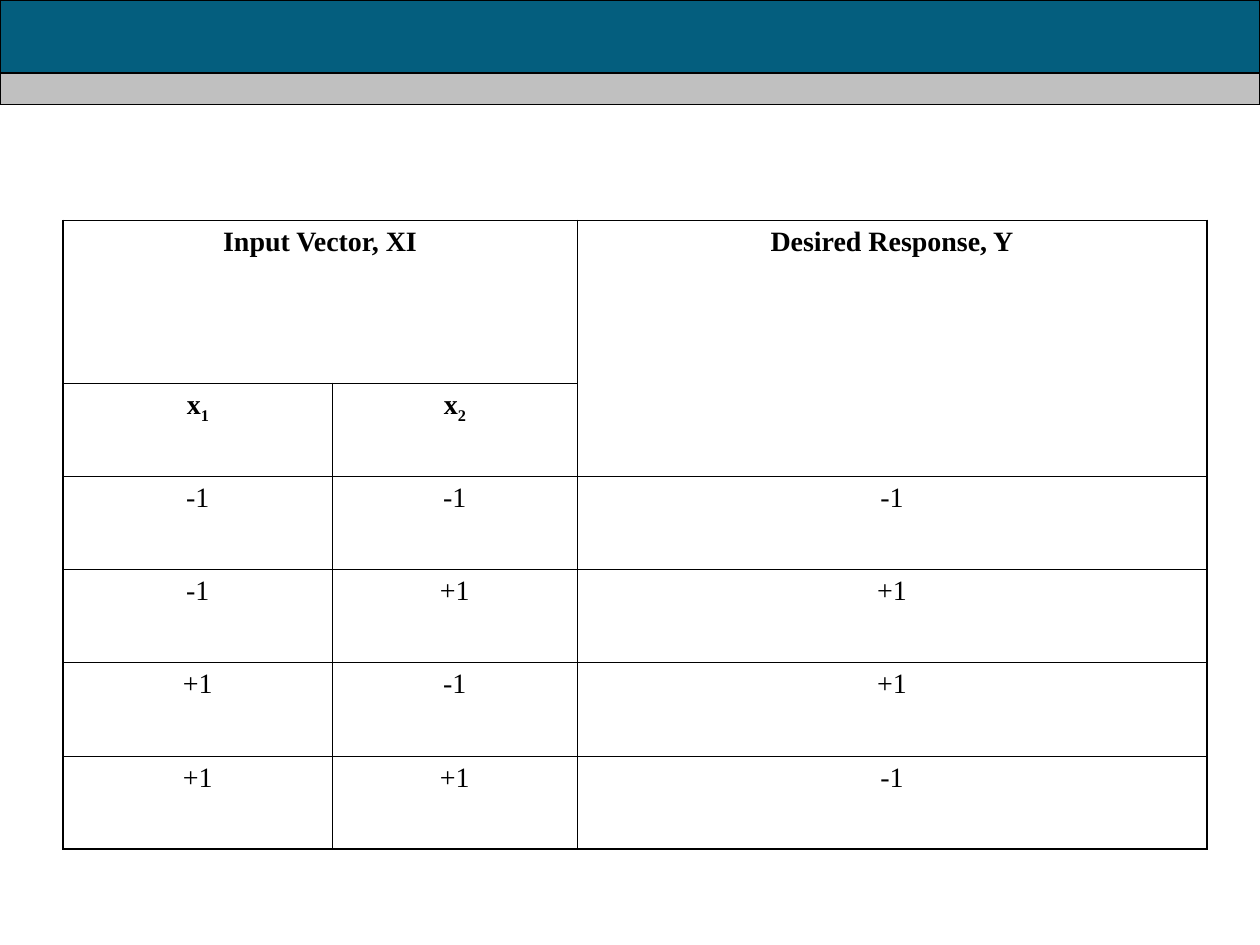
from lxml import etree
from pptx import Presentation
from pptx.dml.color import RGBColor
from pptx.enum.shapes import MSO_SHAPE
from pptx.enum.text import PP_ALIGN
from pptx.oxml.ns import qn
from pptx.util import Inches, Pt

RECTANGLE = MSO_SHAPE.RECTANGLE
CENTER = PP_ALIGN.CENTER
COLORS = {"banner": "045E7E", "strip": "C0C0C0", "ink": "000000"}
FONT = "Times New Roman"
OUTER_LINE, INNER_LINE = Pt(1.08), Pt(0.45)

# Bands across the top: colour, top and height in inches
BANDS = [("banner", 0, 0.83), ("strip", 0.58, 0.25)]

TABLE_LEFT, TABLE_TOP = 0.5, 1.75
COLUMN_WIDTHS = [2.14, 1.94, 5]
ROW_HEIGHTS = [1.29] + [0.74] * 5
HEADER_ROWS = 2
# Each cell holds its text and, where there is one, a subscript
ROWS = [
    [("Input Vector, XI",), (), ("Desired Response, Y",)],
    [("x", "1"), ("x", "2"), ()],
    [("-1",), ("-1",), ("-1",)],
    [("-1",), ("+1",), ("+1",)],
    [("+1",), ("-1",), ("+1",)],
    [("+1",), ("+1",), ("-1",)],
]


def set_border(cell, side, width):
    """Draw one side (L, R, T or B) of a table cell."""
    line = etree.SubElement(cell._tc.get_or_add_tcPr(), qn(f"a:ln{side}"), w=str(width))
    fill = etree.SubElement(line, qn("a:solidFill"))
    etree.SubElement(fill, qn("a:srgbClr"), val=COLORS["ink"])


presentation = Presentation()
presentation.slide_width = Inches(10)
presentation.slide_height = Inches(7.5)
slide = presentation.slides.add_slide(presentation.slide_layouts[6])

for color, top, height in BANDS:
    band = slide.shapes.add_shape(
        RECTANGLE, 0, Inches(top), presentation.slide_width, Inches(height))
    band.shadow.inherit = False
    band.fill.solid()
    band.fill.fore_color.rgb = RGBColor.from_string(COLORS[color])
    band.line.color.rgb = RGBColor.from_string(COLORS["ink"])
    band.line.width = Pt(0.75)

last_row, last_column = len(ROWS) - 1, len(COLUMN_WIDTHS) - 1
table = slide.shapes.add_table(
    len(ROWS), len(COLUMN_WIDTHS), Inches(TABLE_LEFT), Inches(TABLE_TOP),
    Inches(sum(COLUMN_WIDTHS)), Inches(sum(ROW_HEIGHTS))).table
table.first_row = table.horz_banding = False
for column, width in zip(table.columns, COLUMN_WIDTHS):
    column.width = Inches(width)
for row, height in zip(table.rows, ROW_HEIGHTS):
    row.height = Inches(height)
table.cell(0, 0).merge(table.cell(0, 1))
table.cell(0, 2).merge(table.cell(1, 2))

for row_index, row in enumerate(ROWS):
    for column_index, parts in enumerate(row):
        cell = table.cell(row_index, column_index)
        outer_sides = {"L": column_index == 0, "R": column_index == last_column,
                       "T": row_index == 0, "B": row_index == last_row}
        for side, is_outer in outer_sides.items():
            set_border(cell, side, OUTER_LINE if is_outer else INNER_LINE)
        cell.fill.background()

        paragraph = cell.text_frame.paragraphs[0]
        paragraph.alignment = CENTER
        for part_index, text in enumerate(parts):
            run = paragraph.add_run()
            run.text = text
            run.font.name = FONT
            run.font.size = Pt(16)
            run.font.bold = row_index < HEADER_ROWS
            run.font.color.rgb = RGBColor.from_string(COLORS["ink"])
            if part_index == 1:
                run._r.get_or_add_rPr().set("baseline", "-25000")

presentation.save("out.pptx")
